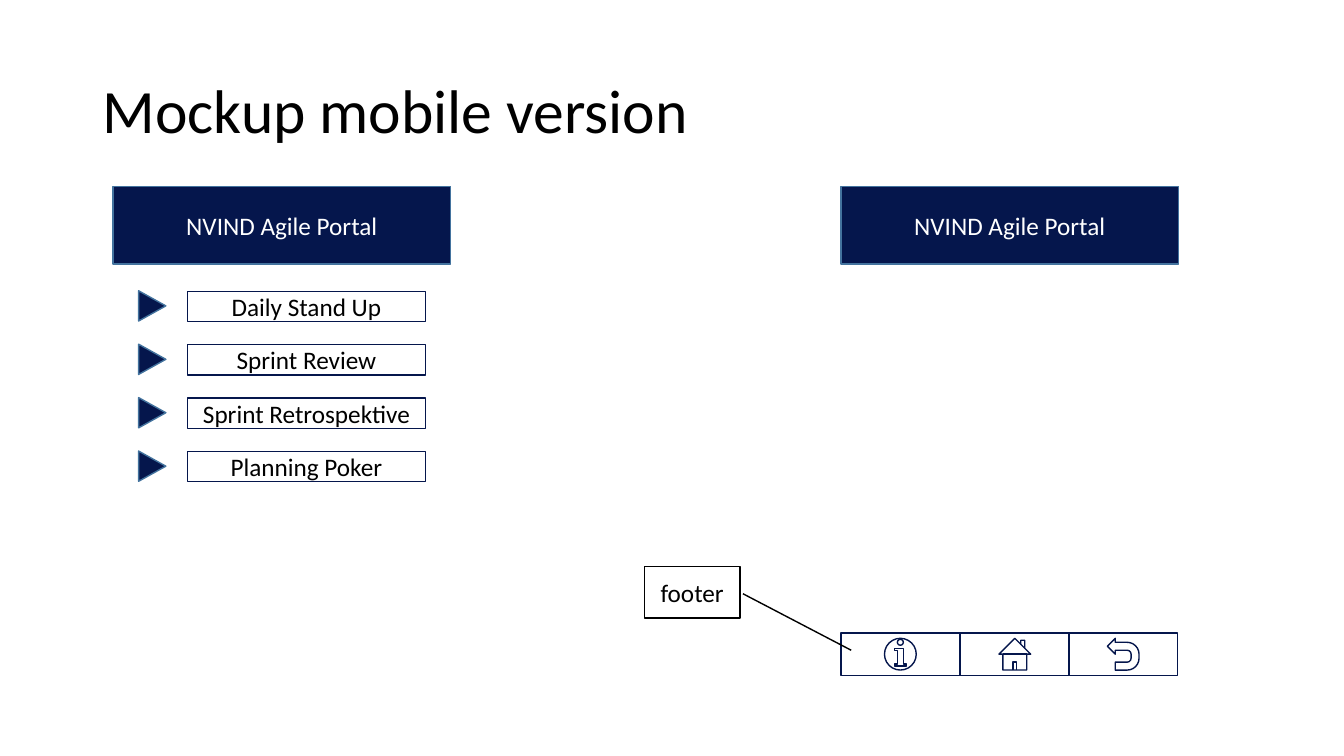
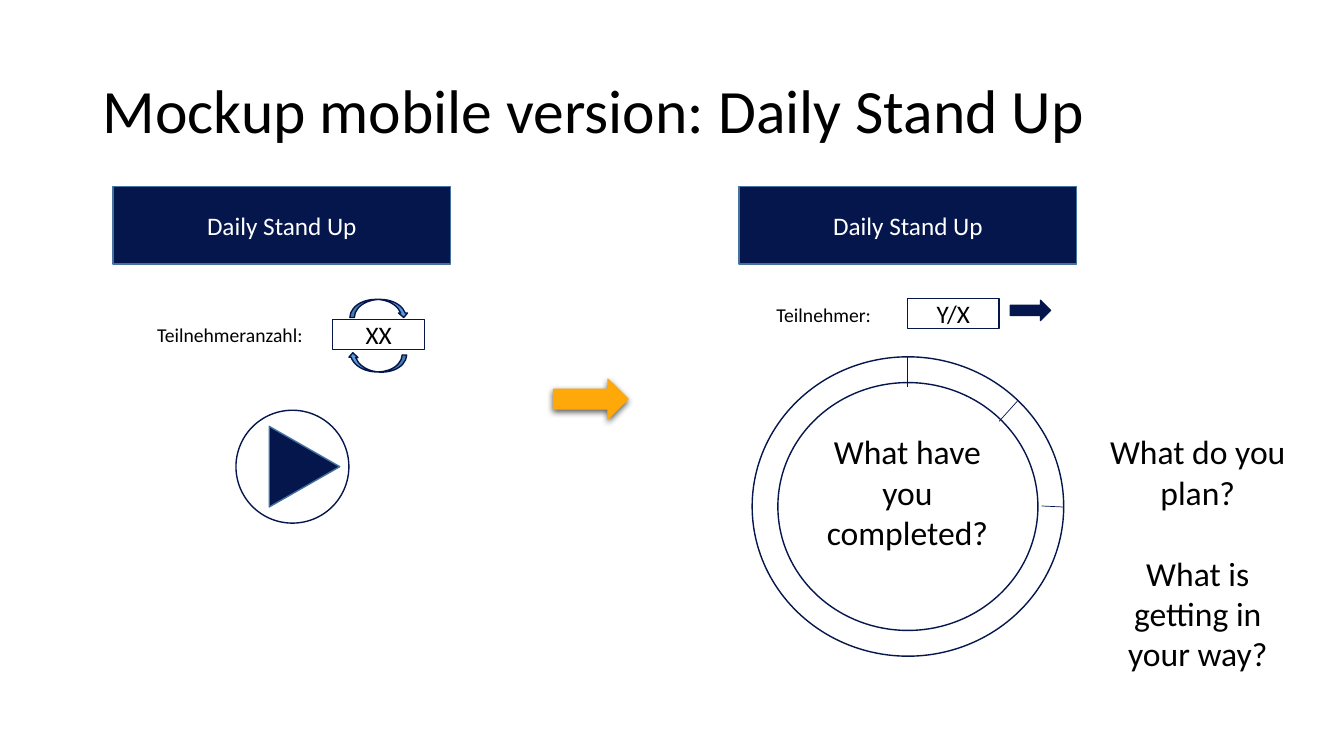
import pptx
import pptx.dml.color
import pptx.enum.shapes
import pptx.enum.text
import pptx.util
from lxml import etree
from pptx.oxml.ns import qn

SHAPE = pptx.enum.shapes.MSO_SHAPE
ALIGN = pptx.enum.text.PP_ALIGN
ANCHOR = pptx.enum.text.MSO_ANCHOR
RGB = pptx.dml.color.RGBColor

NAVY = RGB(0x05, 0x16, 0x4C)
STEEL = RGB(0x43, 0x73, 0x9E)
BLUE = RGB(0x5B, 0x9B, 0xD5)
ORANGE = RGB(0xFF, 0xA8, 0x09)
WHITE = RGB(0xFF, 0xFF, 0xFF)
BLACK = RGB(0x00, 0x00, 0x00)
FONT = "Calibri"
PX = 9144  # EMU per px, 100 px to the inch

# Content
PORTAL_TITLE = "Mockup mobile version"
PORTAL_BANNER = "NVIND Agile Portal"
MEETINGS = ["Daily Stand Up", "Sprint Review", "Sprint Retrospektive", "Planning Poker"]
FOOTER_LABEL = "footer"
# Footer buttons: preset, unrotated frame, rotation
FOOTER_BUTTONS = [
    (SHAPE.ACTION_BUTTON_HOME, (952, 628, 109, 42), 0),
    (SHAPE.ACTION_BUTTON_RETURN, (1093, 595, 42, 108), 270),
    (SHAPE.ACTION_BUTTON_INFORMATION, (834, 628, 118, 42), 0),
]

STANDUP_TITLE = "Mockup mobile version: Daily Stand Up"
STANDUP_BANNER = "Daily Stand Up"
# Counters: label, label frame, value, value frame
COUNTERS = [
    ("Teilnehmeranzahl:", (139, 317, 178, 30), "XX", (330, 317, 91, 30)),
    ("Teilnehmer:", (758, 297, 118, 30), "Y/X", (900, 296, 91, 30)),
]
SPINNERS = [((347, 297, 58, 18), 0), ((345, 351, 58, 18), 182.5)]
QUESTIONS = [
    ((798, 423, 204, 131), ["What have you completed?"]),
    ((1086, 423, 204, 252), ["What do you plan?", "What is getting in your way?"]),
]
RING_TICKS = [(900, 354, 900, 384), (1009, 398, 991, 418), (1055, 503, 1033, 502)]

# Shared layout
TITLE_FRAME = (92, 40, 1150, 145)
BANNER_LEFT, BANNER_TOP, BANNER_SIZE = 112, 185, (335, 77)
MENU_TOP, MENU_STEP = 289, 53


def emu(lengths):
    return [pptx.util.Emu(length * PX) for length in lengths]


def write(shape, lines, size, color=BLACK, align=ALIGN.CENTER, anchor=ANCHOR.MIDDLE):
    frame = shape.text_frame
    frame.word_wrap = True
    frame.vertical_anchor = anchor
    frame.text = "\n".join(lines)
    for para in frame.paragraphs:
        para.alignment = align
        for span in para.runs:
            span.font.name = FONT
            span.font.size = pptx.util.Pt(size)
            span.font.color.rgb = color
    return frame


def add_shape(page, preset, frame, fill=WHITE, line=NAVY, text=None, size=18,
              color=BLACK, rotation=0, weight=1):
    shape = page.shapes.add_shape(preset, *emu(frame))
    shape.shadow.inherit = False
    shape.rotation = rotation
    if fill is None:
        shape.fill.background()
    else:
        shape.fill.solid()
        shape.fill.fore_color.rgb = fill
    if line is None:
        shape.line.fill.background()
    else:
        shape.line.color.rgb = line
        shape.line.width = pptx.util.Pt(weight)
    if text:
        write(shape, [text], size, color)
    return shape


def add_text(page, frame, lines, size, **style):
    box = page.shapes.add_textbox(*emu(frame))
    return write(box, lines, size, **style)


def add_line(page, ends):
    line = page.shapes.add_connector(pptx.enum.shapes.MSO_CONNECTOR.STRAIGHT, *emu(ends))
    line.line.color.rgb = NAVY
    line.line.width = pptx.util.Pt(0.5)
    etree.SubElement(line.element.spPr, qn("a:effectLst"))


def add_drop_shadow(shape):
    effects = shape.element.spPr.find(qn("a:effectLst"))
    shadow = etree.SubElement(effects, qn("a:outerShdw"), blurRad="57150", dist="19050",
                              dir="5400000", algn="ctr", rotWithShape="0")
    color = etree.SubElement(shadow, qn("a:srgbClr"), val="000000")
    etree.SubElement(color, qn("a:alpha"), val="63000")


def add_play(page, frame):
    add_shape(page, SHAPE.ISOSCELES_TRIANGLE, frame, NAVY, STEEL, rotation=90)


def add_page(deck, title, banner, second_left):
    """Page with the title and one banner above each phone screen."""
    page = deck.slides.add_slide(deck.slide_layouts[6])
    frame = add_text(page, TITLE_FRAME, [title], 44, align=ALIGN.LEFT)
    frame.paragraphs[0].line_spacing = 0.9
    for left in (BANNER_LEFT, second_left):
        add_shape(page, SHAPE.RECTANGLE, (left, BANNER_TOP, *BANNER_SIZE),
                  NAVY, STEEL, banner, color=WHITE)
    return page


def build_portal(deck):
    page = add_page(deck, PORTAL_TITLE, PORTAL_BANNER, 834)
    # Menu
    for row, meeting in enumerate(MEETINGS):
        top = MENU_TOP + row * MENU_STEP
        add_play(page, (136, top + 1, 30, 27))
        add_shape(page, SHAPE.RECTANGLE, (186, top, 236, 30), text=meeting)
    # Footer and its callout
    for preset, frame, rotation in FOOTER_BUTTONS:
        add_shape(page, preset, frame, fill=None, rotation=rotation)
    callout = add_shape(page, SHAPE.LINE_CALLOUT_1, (639, 562, 95, 51),
                        line=BLACK, text=FOOTER_LABEL)
    for index, value in enumerate((0.53, 1.03, 1.63, 2.16)):
        callout.adjustments[index] = value


def build_standup(deck):
    page = add_page(deck, STANDUP_TITLE, STANDUP_BANNER, 733)
    # Start button
    add_shape(page, SHAPE.OVAL, (234, 407, 112, 112))
    add_play(page, (262, 428, 80, 70))
    # Participant counters
    for label, label_frame, value, value_frame in COUNTERS:
        add_shape(page, SHAPE.RECTANGLE, value_frame, text=value)
        add_shape(page, SHAPE.RECTANGLE, label_frame, line=None, text=label, size=14)
    for frame, rotation in SPINNERS:
        add_shape(page, SHAPE.CURVED_DOWN_ARROW, frame, BLUE, rotation=rotation)
    add_shape(page, SHAPE.RIGHT_ARROW, (1002, 298, 40, 20), NAVY)
    # Timer ring with questions
    ring = add_shape(page, SHAPE.DONUT, (746, 354, 309, 297))
    ring.adjustments[0] = 0.086
    for frame, lines in QUESTIONS:
        text = add_text(page, frame, lines, 24, anchor=ANCHOR.TOP)
        for para in text.paragraphs[1:]:
            para.space_before = pptx.util.Pt(29)
    for ends in RING_TICKS:
        add_line(page, ends)
    # Step from the first screen to the second
    step = add_shape(page, SHAPE.RIGHT_ARROW, (549, 376, 74, 40), ORANGE, ORANGE, weight=0.75)
    add_drop_shadow(step)


def main():
    deck = pptx.Presentation()
    deck.slide_width, deck.slide_height = emu((1333, 750))
    build_portal(deck)
    build_standup(deck)
    deck.save("out.pptx")


if __name__ == "__main__":
    main()
